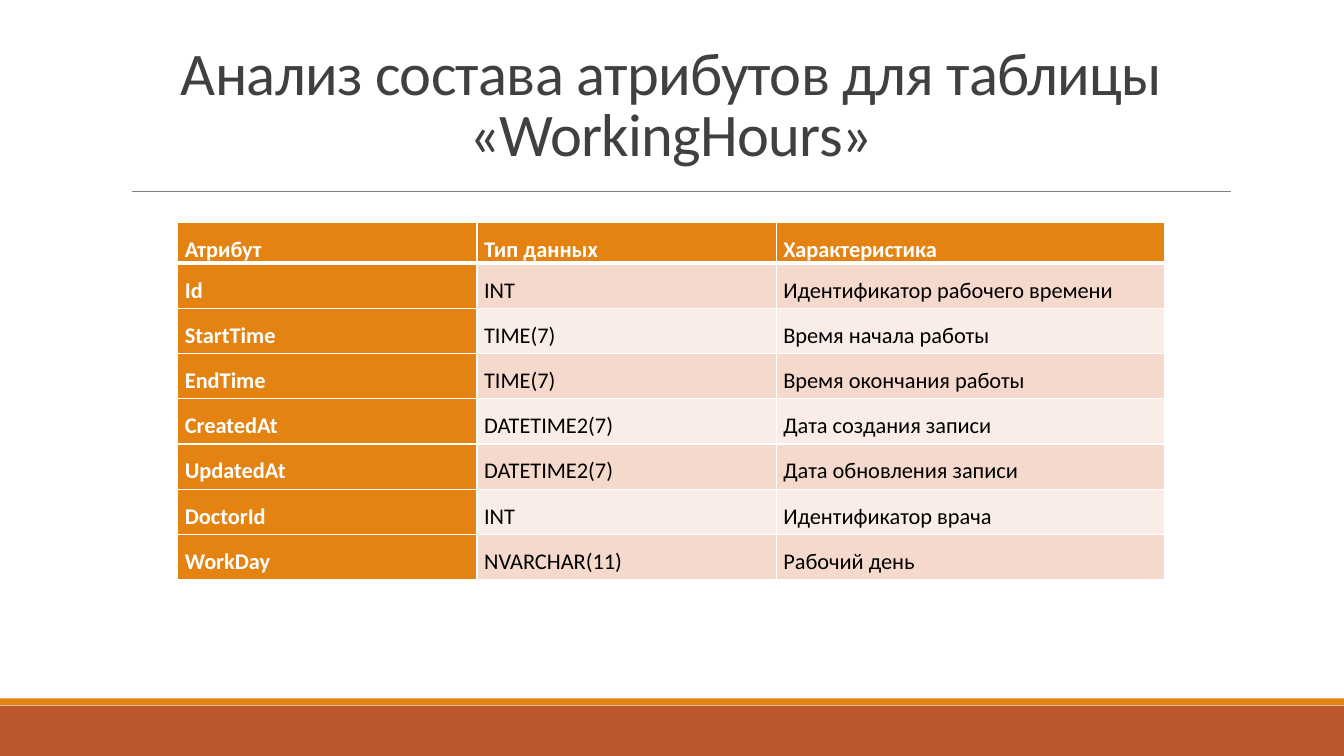
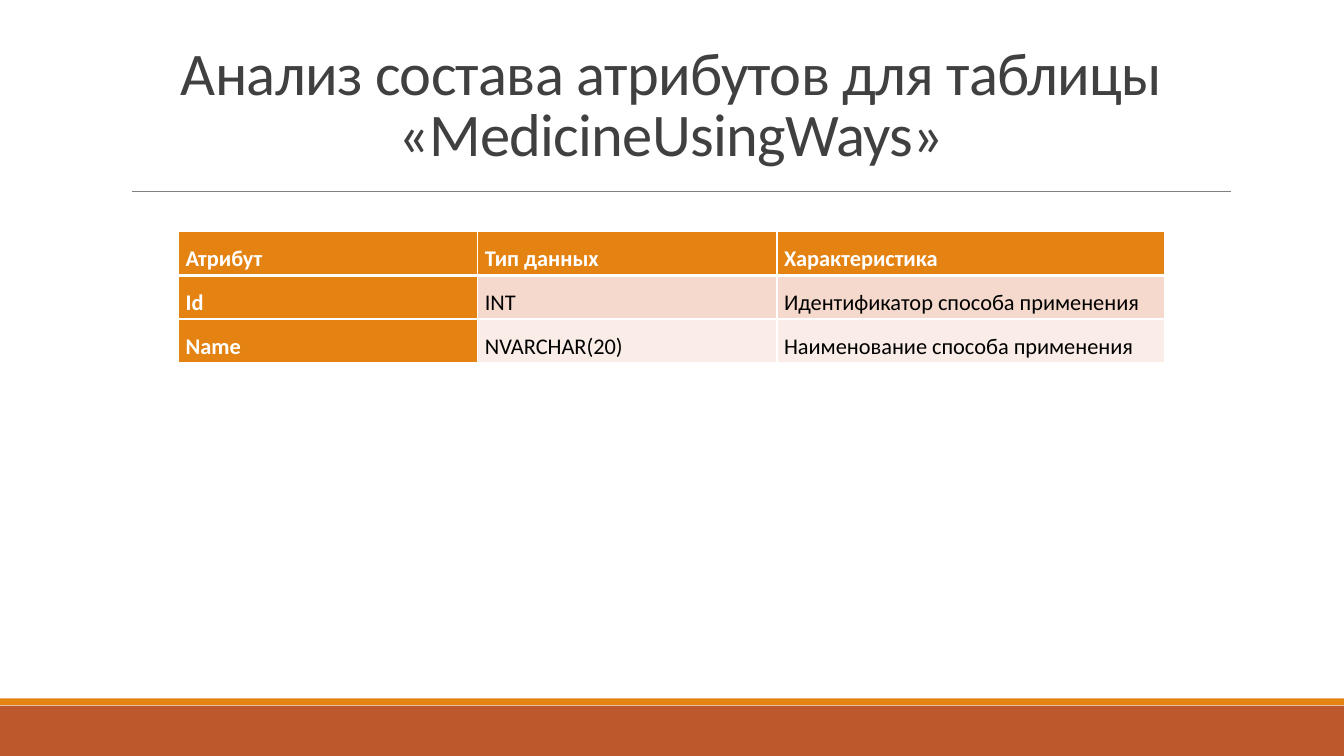
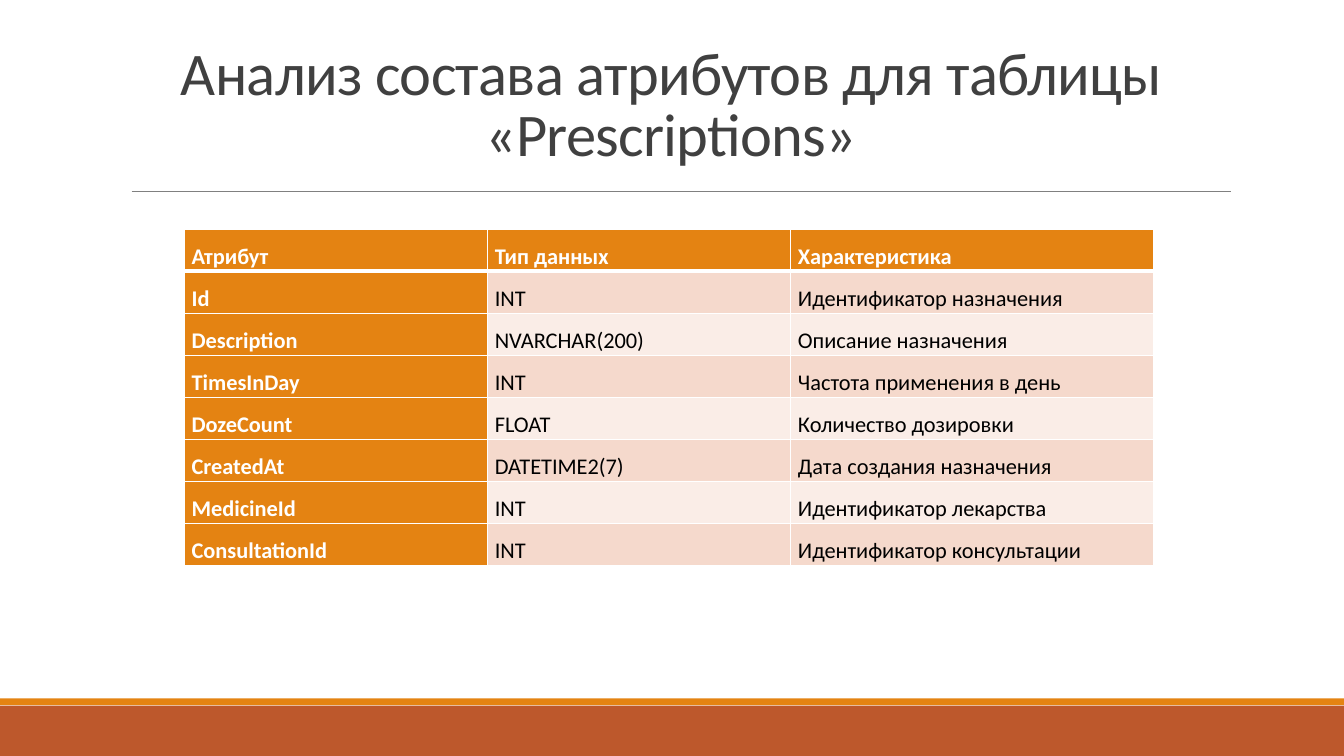
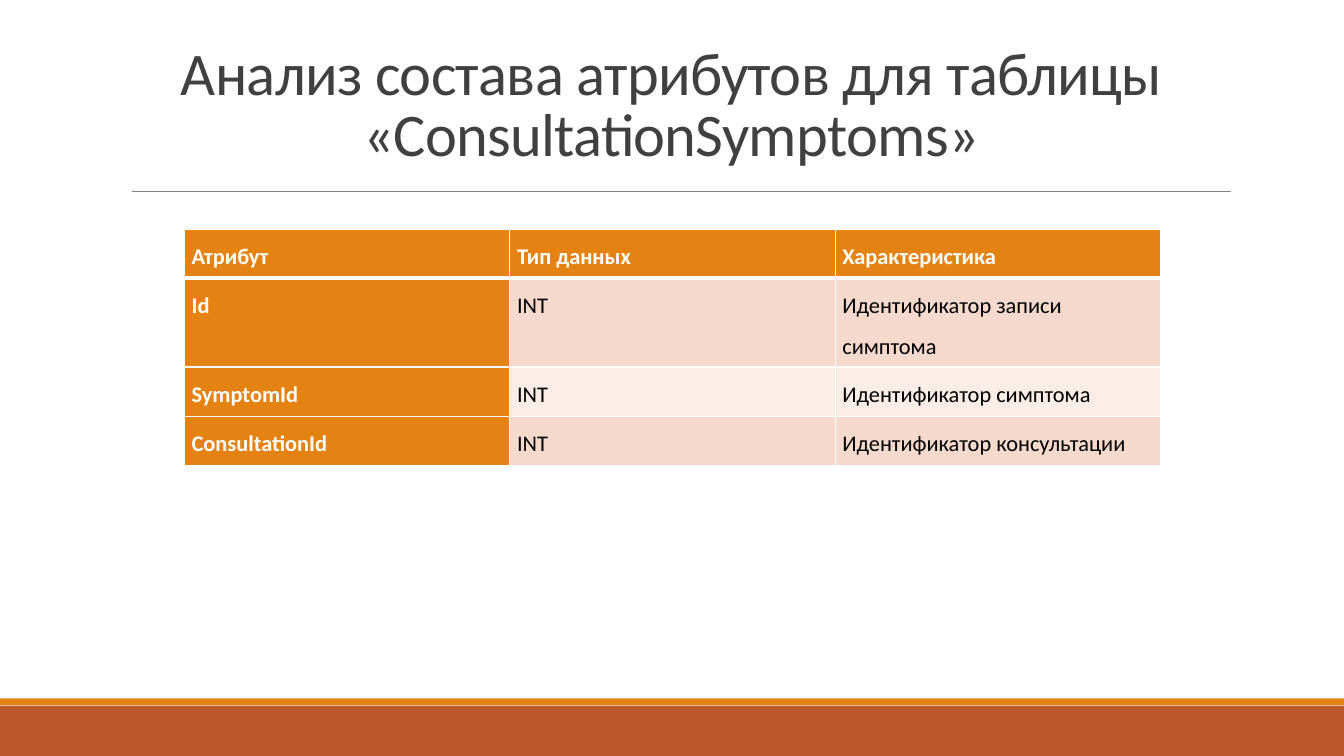
from lxml.etree import SubElement
from pptx import Presentation
from pptx.dml.color import RGBColor
from pptx.enum.shapes import MSO_CONNECTOR, MSO_SHAPE
from pptx.enum.text import MSO_ANCHOR, PP_ALIGN
from pptx.oxml.ns import qn
from pptx.util import Cm, Pt

COLORS = {
    "rust": "BD582C",
    "orange": "E48312",
    "rule": "808080",
    "title": "404040",
    "text": "000000",
    "white": "FFFFFF",
    "band_dark": "F5D9CC",
    "band_light": "FAEDE7",
}
FONT = "Calibri"
WIDTH, HEIGHT = 33.87, 19.05
HEADER = ("Атрибут", "Тип данных", "Характеристика")


def rgb(name):
    return RGBColor.from_string(COLORS[name])


class Deck:
    """Shared style and the slide being built; lengths are in centimetres."""

    def __init__(self):
        self.prs = Presentation()
        self.prs.slide_width, self.prs.slide_height = Cm(WIDTH), Cm(HEIGHT)
        self.s = None

    def slide(self, table_name):
        self.s = self.prs.slides.add_slide(self.prs.slide_layouts[6])
        self.band(17.78, 1.27, "rust")
        self.band(17.6, 0.17, "orange")
        self.rule(3.32, 31.02, 4.83)
        self.title(f"Анализ состава атрибутов для таблицы «{table_name}»")

    def band(self, top, height, color):
        sp = self.s.shapes.add_shape(
            MSO_SHAPE.RECTANGLE, 0, Cm(top), Cm(WIDTH), Cm(height))
        sp.shadow.inherit = False
        sp.fill.solid()
        sp.fill.fore_color.rgb = rgb(color)
        sp.line.fill.background()

    def rule(self, left, right, y):
        line = self.s.shapes.add_connector(
            MSO_CONNECTOR.STRAIGHT, Cm(left), Cm(y), Cm(right), Cm(y))
        line.line.color.rgb = rgb("rule")
        line.line.width = Pt(0.5)
        SubElement(line._element.spPr, qn("a:effectLst"))

    def font(self, p, size, color, bold=False):
        p.font.name, p.font.size, p.font.bold = FONT, Pt(size), bold
        p.font.color.rgb = rgb(color)

    def title(self, text):
        tf = self.s.shapes.add_textbox(
            Cm(2.54), Cm(1.7), Cm(28.75), Cm(2.69)).text_frame
        tf.word_wrap = True
        tf.vertical_anchor = MSO_ANCHOR.BOTTOM
        p = tf.paragraphs[0]
        p.alignment, p.line_spacing = PP_ALIGN.CENTER, 0.85
        r = p.add_run()
        r.text = text
        self.font(p, 43.2, "title")
        # Letter spacing in hundredths of a point
        r._r.get_or_add_rPr().set("spc", "-50")

    def borders(self, cell, **widths):
        tcPr = cell._tc.get_or_add_tcPr()
        for side in "LRTB":
            ln = SubElement(tcPr, qn(f"a:ln{side}"),
                            w=str(Pt(widths.get(side, 1))))
            fill = SubElement(ln, qn("a:solidFill"))
            SubElement(fill, qn("a:srgbClr"), val=COLORS["white"])

    def cell(self, cell, text, row, col):
        accent = row == 0 or col == 0
        # A thick rule parts the header from the body
        self.borders(cell, B=3 if row == 0 else 1, T=3 if row == 1 else 1)
        cell.fill.solid()
        cell.fill.fore_color.rgb = rgb(
            "orange" if accent else "band_dark" if row % 2 else "band_light")
        cell.margin_left = cell.margin_right = Cm(0.18)
        cell.margin_top = cell.margin_bottom = 0
        p = cell.text_frame.paragraphs[0]
        p.text, p.line_spacing = text, 1.5
        self.font(p, 16, "white" if accent else "text", accent)

    def table(self, left, top, col_widths, row_heights, records):
        rows = [HEADER, *records]
        tbl = self.s.shapes.add_table(
            len(rows), len(HEADER), Cm(left), Cm(top),
            Cm(sum(col_widths)), Cm(sum(row_heights))).table
        tbl.first_col = True
        for column, width in zip(tbl.columns, col_widths):
            column.width = Cm(width)
        for i, (values, height) in enumerate(zip(rows, row_heights)):
            tbl.rows[i].height = Cm(height)
            for j, text in enumerate(values):
                self.cell(tbl.cell(i, j), text, i, j)


def main():
    deck = Deck()

    # Working hours
    deck.slide("WorkingHours")
    deck.table(4.48, 5.61, [7.54, 7.54, 9.78], [1.02] + [1.14] * 7, [
        ("Id", "INT", "Идентификатор рабочего времени"),
        ("StartTime", "TIME(7)", "Время начала работы"),
        ("EndTime", "TIME(7)", "Время окончания работы"),
        ("CreatedAt", "DATETIME2(7)", "Дата создания записи"),
        ("UpdatedAt", "DATETIME2(7)", "Дата обновления записи"),
        ("DoctorId", "INT", "Идентификатор врача"),
        ("WorkDay", "NVARCHAR(11)", "Рабочий день"),
    ])

    # Ways of using medicine
    deck.slide("MedicineUsingWays")
    deck.table(4.5, 5.84, [7.54, 7.54, 9.78], [1.1] * 3, [
        ("Id", "INT", "Идентификатор способа применения"),
        ("Name", "NVARCHAR(20)", "Наименование способа применения"),
    ])

    # Prescriptions
    deck.slide("Prescriptions")
    deck.table(4.65, 5.77, [7.64, 7.64, 9.14], [1.06] * 8, [
        ("Id", "INT", "Идентификатор назначения"),
        ("Description", "NVARCHAR(200)", "Описание назначения"),
        ("TimesInDay", "INT", "Частота применения в день"),
        ("DozeCount", "FLOAT", "Количество дозировки"),
        ("CreatedAt", "DATETIME2(7)", "Дата создания назначения"),
        ("MedicineId", "INT", "Идентификатор лекарства"),
        ("ConsultationId", "INT", "Идентификатор консультации"),
    ])

    # Consultation symptoms
    deck.slide("ConsultationSymptoms")
    deck.table(4.65, 5.77, [8.2] * 3, [1.24, 2.24, 1.24, 1.24], [
        ("Id", "INT", "Идентификатор записи симптома"),
        ("SymptomId", "INT", "Идентификатор симптома"),
        ("ConsultationId", "INT", "Идентификатор консультации"),
    ])

    deck.prs.save("out.pptx")


if __name__ == "__main__":
    main()
